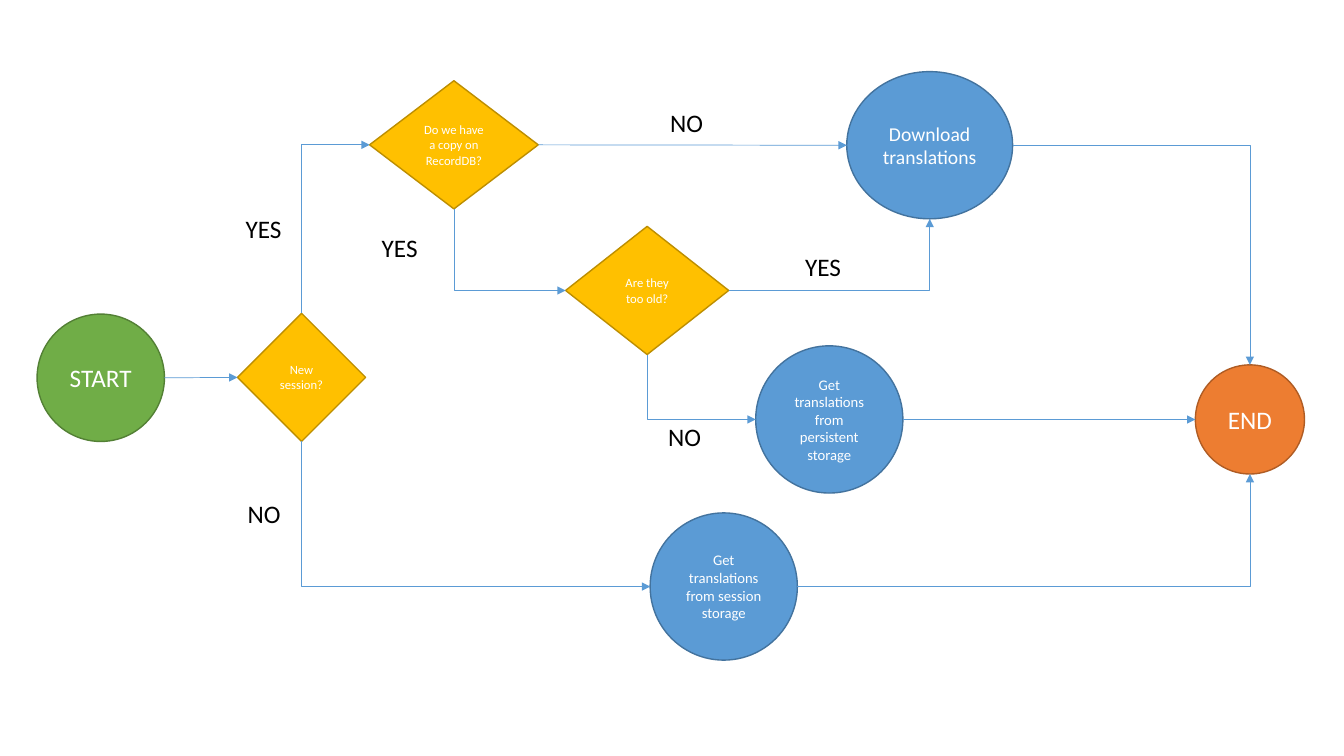
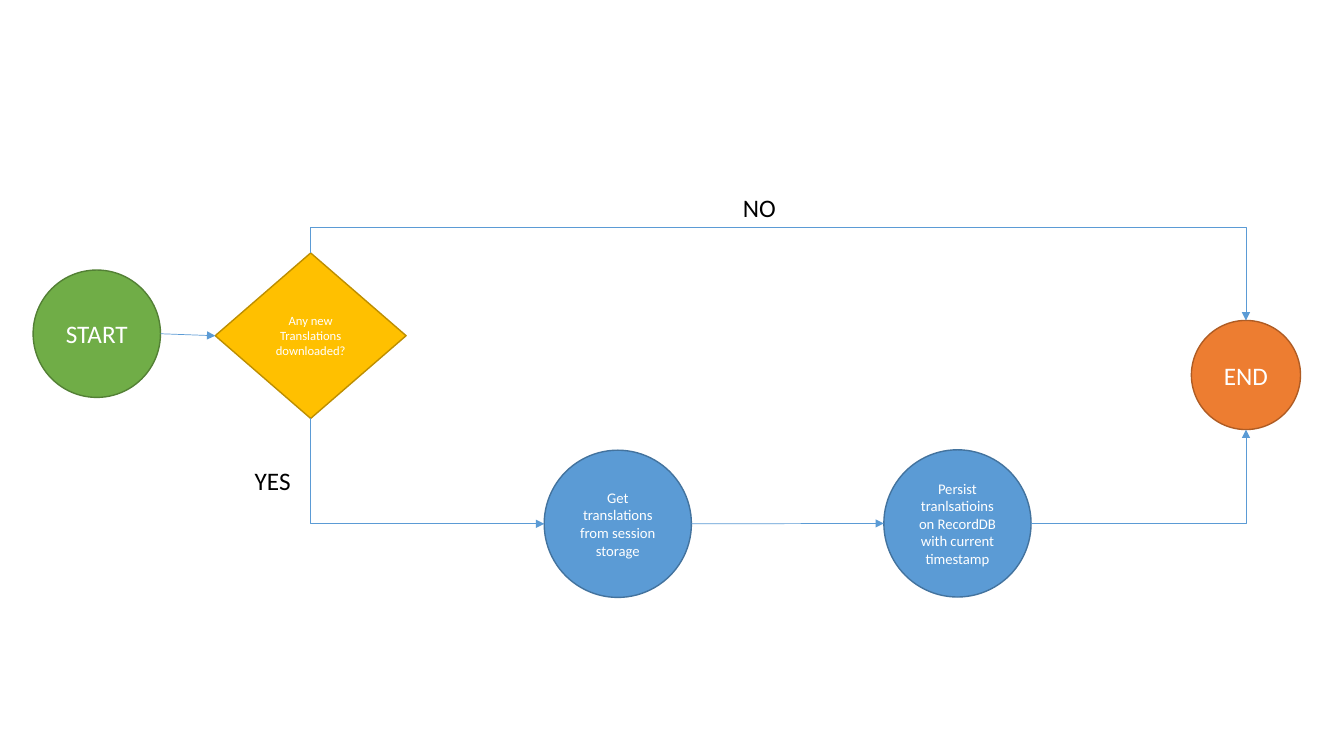
from dataclasses import dataclass, replace
from enum import IntEnum

from lxml import etree
from pptx import Presentation
from pptx.dml.color import RGBColor
from pptx.enum.shapes import MSO_CONNECTOR, MSO_SHAPE
from pptx.enum.text import MSO_ANCHOR, MSO_AUTO_SIZE, PP_ALIGN
from pptx.oxml.ns import qn
from pptx.shapes.autoshape import Shape
from pptx.shapes.connector import Connector
from pptx.slide import Slide
from pptx.util import Cm, Pt

ELLIPSE, DIAMOND = MSO_SHAPE.OVAL, MSO_SHAPE.DIAMOND
STRAIGHT, ELBOW = MSO_CONNECTOR.STRAIGHT, MSO_CONNECTOR.ELBOW
CENTER, MIDDLE = PP_ALIGN.CENTER, MSO_ANCHOR.MIDDLE
FIT_SHAPE = MSO_AUTO_SIZE.SHAPE_TO_FIT_TEXT

FONT = "Calibri"
WHITE, BLACK, ARROW_BLUE = "FFFFFF", "000000", "5B9BD5"
LABEL_WIDTH, LABEL_HEIGHT = 1.65, 1.02
LABEL_SIZE = 18
BLANK_LAYOUT = 6


class Side(IntEnum):
    TOP = 0
    LEFT = 1
    BOTTOM = 2
    RIGHT = 3


TOP, LEFT, BOTTOM, RIGHT = Side
SIDE_OFFSETS = {TOP: (0, -0.5), LEFT: (-0.5, 0), BOTTOM: (0, 0.5), RIGHT: (0.5, 0)}


@dataclass(frozen=True)
class Kind:
    geometry: MSO_SHAPE
    fill: str
    outline: str
    font_size: float


START = Kind(ELLIPSE, "70AD47", "538035", 18)
END = Kind(ELLIPSE, "ED7D31", "AF5C24", 18)
ACTION = Kind(ELLIPSE, "5B9BD5", "43739E", 10.5)
LARGE_ACTION = replace(ACTION, font_size=14)
DECISION = Kind(DIAMOND, "FFC000", "BD8E00", 9)


@dataclass(frozen=True)
class Node:
    """A step of the flow, placed by its centre, in centimetres."""
    kind: Kind
    text: str
    x: float
    y: float
    width: float
    height: float

    def point(self, side: Side) -> tuple[float, float]:
        across, down = SIDE_OFFSETS[side]
        return self.x + across * self.width, self.y + down * self.height

    def site(self, side: Side) -> int:
        """Connection site; an ellipse also has sites between its four sides."""
        return side * 2 if self.kind.geometry == ELLIPSE else int(side)


@dataclass(frozen=True)
class Link:
    start: str
    start_side: Side
    end: str
    end_side: Side
    detour: float = 0


@dataclass(frozen=True)
class Label:
    text: str
    left: float
    top: float


@dataclass(frozen=True)
class Flow:
    nodes: dict[str, Node]
    links: list[Link]
    labels: list[Label]


def start_node(x: float, y: float) -> Node:
    return Node(START, "START", x, y, 3.21, 3.21)


def end_node(x: float, y: float) -> Node:
    return Node(END, "END", x, y, 2.75, 2.75)


def action_node(text: str, x: float, y: float) -> Node:
    return Node(ACTION, text, x, y, 3.71, 3.71)


SESSION_TEXT = "Get translations from session storage"

LOADING = Flow(
    nodes={
        "start": start_node(2.54, 9.52),
        "end": end_node(31.5, 10.57),
        "download": Node(LARGE_ACTION, "Download\ntranslations", 23.43, 3.66, 4.18, 3.71),
        "session": action_node(SESSION_TEXT, 18.24, 14.78),
        "persistent": action_node("Get translations from persistent storage", 20.9, 10.57),
        "new": Node(DECISION, "New session?", 7.6, 9.51, 3.23, 3.23),
        "copy": Node(DECISION, "Do we have a copy on RecordDB?", 11.44, 3.65, 4.25, 3.23),
        "old": Node(DECISION, "Are they too old?", 16.31, 7.32, 4.11, 3.23),
    },
    links=[
        Link("start", RIGHT, "new", LEFT),
        Link("new", TOP, "copy", LEFT),
        Link("new", BOTTOM, "session", LEFT),
        Link("session", RIGHT, "end", BOTTOM),
        Link("copy", RIGHT, "download", LEFT),
        Link("copy", BOTTOM, "old", LEFT),
        Link("old", RIGHT, "download", BOTTOM),
        Link("old", BOTTOM, "persistent", LEFT),
        Link("persistent", RIGHT, "end", LEFT),
        Link("download", RIGHT, "end", TOP),
    ],
    labels=[
        Label("YES", 5.94, 5.26),
        Label("NO", 5.99, 12.42),
        Label("NO", 16.64, 2.59),
        Label("YES", 9.37, 5.72),
        Label("YES", 20.04, 6.22),
        Label("NO", 16.59, 10.49),
    ],
)

SAVING = Flow(
    nodes={
        "start": start_node(2.44, 8.41),
        "end": end_node(31.4, 9.45),
        "session": action_node(SESSION_TEXT, 15.57, 13.2),
        "persist": action_node(
            "Persist tranlsatioins on RecordDB with current timestamp", 24.13, 13.19),
        "any": Node(DECISION, "Any new\nTranslations\ndownloaded?", 7.83, 8.46, 4.81, 4.17),
    },
    links=[
        Link("start", RIGHT, "any", LEFT),
        Link("any", TOP, "end", TOP, detour=0.64),
        Link("any", BOTTOM, "session", LEFT),
        Link("session", RIGHT, "persist", LEFT),
        Link("persist", RIGHT, "end", BOTTOM),
    ],
    labels=[Label("NO", 18.47, 4.72), Label("YES", 6.17, 11.61)],
)


def rgb(color: str) -> RGBColor:
    return RGBColor.from_string(color)


def write_text(shape: Shape, text: str, size: float, color: str) -> None:
    shape.text_frame.text = text
    shape.text_frame.word_wrap = True
    for paragraph in shape.text_frame.paragraphs:
        paragraph.font.name = FONT
        paragraph.font.size = Pt(size)
        paragraph.font.color.rgb = rgb(color)


def add_node(slide: Slide, node: Node) -> Shape:
    shape = slide.shapes.add_shape(
        node.kind.geometry, Cm(node.x - node.width / 2), Cm(node.y - node.height / 2),
        Cm(node.width), Cm(node.height))
    shape.shadow.inherit = False
    shape.fill.solid()
    shape.fill.fore_color.rgb = rgb(node.kind.fill)
    shape.line.color.rgb = rgb(node.kind.outline)
    shape.line.width = Pt(1)
    write_text(shape, node.text, node.kind.font_size, WHITE)
    shape.text_frame.vertical_anchor = MIDDLE
    for paragraph in shape.text_frame.paragraphs:
        paragraph.alignment = CENTER
    return shape


def add_label(slide: Slide, label: Label) -> None:
    box = slide.shapes.add_textbox(
        Cm(label.left), Cm(label.top), Cm(LABEL_WIDTH), Cm(LABEL_HEIGHT))
    write_text(box, label.text, LABEL_SIZE, BLACK)
    box.text_frame.auto_size = FIT_SHAPE


def leave_vertically(connector: Connector, upward: bool) -> None:
    """Turn the connector's frame a quarter so that its first leg is vertical."""
    left, top = connector.left, connector.top
    width, height = connector.width, connector.height
    connector.left = left + (width - height) // 2
    connector.top = top + (height - width) // 2
    connector.width, connector.height = height, width
    frame = connector._element.spPr.find(qn("a:xfrm"))
    frame.set("rot", str((90 if upward else 270) * 60000))
    frame.set("flipH", "1")
    frame.set("flipV", "1" if upward else "0")


def bend(connector: Connector, link: Link, rise: float) -> None:
    """Give an elbow one corner, or two when it makes a detour above its ends."""
    geometry = connector._element.spPr.find(qn("a:prstGeom"))
    if link.detour:
        adjustments = geometry.find(qn("a:avLst"))
        share = round(-link.detour / abs(rise) * 100000)
        etree.SubElement(adjustments, qn("a:gd"), name="adj1", fmla=f"val {share}")
    else:
        geometry.set("prst", "bentConnector2")
    if link.start_side in (TOP, BOTTOM):
        leave_vertically(connector, upward=rise < 0)


def add_link(slide: Slide, link: Link, flow: Flow, shapes: dict[str, Shape]) -> None:
    start, end = flow.nodes[link.start], flow.nodes[link.end]
    start_x, start_y = start.point(link.start_side)
    end_x, end_y = end.point(link.end_side)
    is_straight = (link.start_side, link.end_side) == (RIGHT, LEFT)
    connector = slide.shapes.add_connector(
        STRAIGHT if is_straight else ELBOW, Cm(start_x), Cm(start_y), Cm(end_x), Cm(end_y))
    if not is_straight:
        bend(connector, link, end_y - start_y)
    connector.line.color.rgb = rgb(ARROW_BLUE)
    connector.line.width = Pt(0.5)
    properties = connector._element.spPr
    etree.SubElement(properties.find(qn("a:ln")), qn("a:tailEnd"), type="triangle")
    etree.SubElement(properties, qn("a:effectLst"))

    joints = connector._element.nvCxnSpPr.cNvCxnSpPr
    for tag, name, site in (
        ("a:stCxn", link.start, start.site(link.start_side)),
        ("a:endCxn", link.end, end.site(link.end_side)),
    ):
        etree.SubElement(joints, qn(tag), id=str(shapes[name].shape_id), idx=str(site))


def draw_flow(slide: Slide, flow: Flow) -> None:
    shapes = {name: add_node(slide, node) for name, node in flow.nodes.items()}
    for link in flow.links:
        add_link(slide, link, flow, shapes)
    for label in flow.labels:
        add_label(slide, label)


def main() -> None:
    presentation = Presentation()
    presentation.slide_width, presentation.slide_height = Cm(33.87), Cm(19.05)
    for flow in (LOADING, SAVING):
        slide = presentation.slides.add_slide(presentation.slide_layouts[BLANK_LAYOUT])
        draw_flow(slide, flow)
    presentation.save("out.pptx")


if __name__ == "__main__":
    main()
